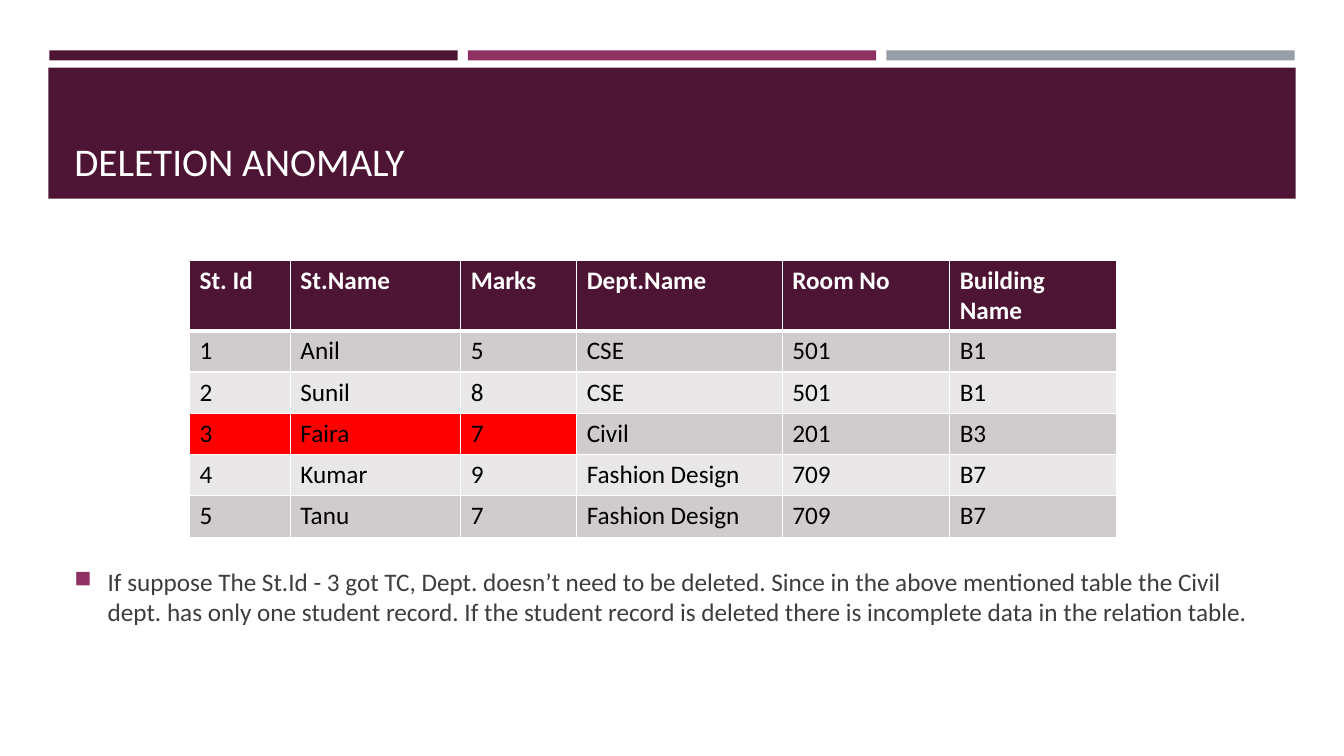
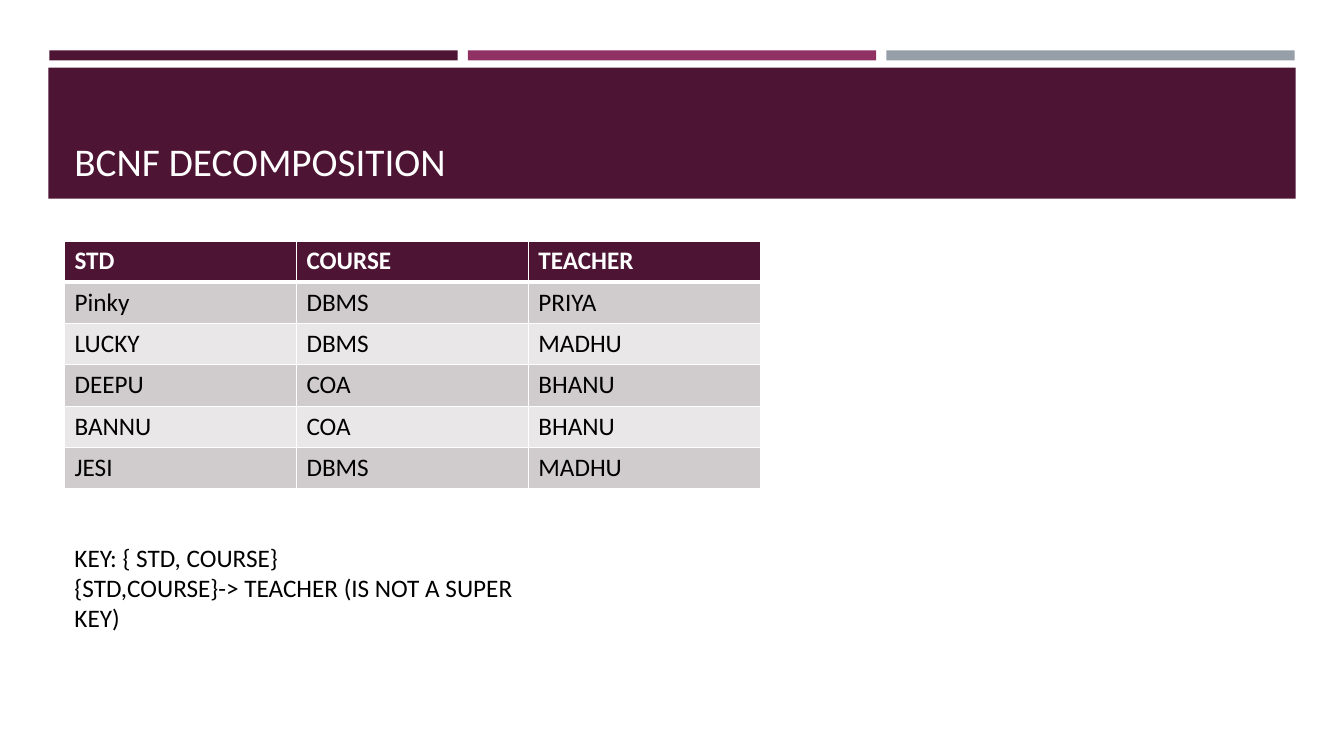
from lxml import etree
from pptx import Presentation
from pptx import util as u
from pptx.dml.color import RGBColor
from pptx.enum import shapes, text
from pptx.oxml import ns

PLUM = RGBColor(0x4D, 0x14, 0x34)
MAGENTA = RGBColor(0x90, 0x31, 0x63)
GREY = RGBColor(0x96, 0x9F, 0xA7)
ROW_DARK = RGBColor(0xD0, 0xCC, 0xCE)
ROW_LIGHT = RGBColor(0xE9, 0xE7, 0xE8)
RED = RGBColor(0xFF, 0x00, 0x00)
BODY = RGBColor(0x3D, 0x3D, 0x3D)
WHITE = RGBColor(0xFF, 0xFF, 0xFF)
BLACK = RGBColor(0x00, 0x00, 0x00)


def add_xml(parent, tag, **attributes):
    return etree.SubElement(parent, ns.qn(tag), attributes)


class Deck:
    """Holds the shared style and the slide being built."""

    font_name = "Calibri"
    text_size = 18
    title_size = 28
    row_height = 0.41

    def __init__(self):
        self.presentation = Presentation()
        self.presentation.slide_width = u.Inches(13.33)
        self.presentation.slide_height = u.Inches(7.5)
        self.slide = None

    def add_slide(self, title):
        layout = self.presentation.slide_layouts[6]
        self.slide = self.presentation.slides.add_slide(layout)
        # Three accent strips above the title band
        for index, color in enumerate((PLUM, MAGENTA, GREY)):
            self.band(0.49 + index * 4.15, 0.5, 4.05, 0.1, color)
        self.band(0.48, 0.67, 12.37, 1.3, PLUM)
        self.text_box((0.64, 0.77, 12.06, 1.11), [title], WHITE,
                      self.title_size, text.MSO_ANCHOR.BOTTOM)

    def band(self, left, top, width, height, color):
        shape = self.slide.shapes.add_shape(
            shapes.MSO_SHAPE.RECTANGLE,
            *map(u.Inches, (left, top, width, height)))
        shape.shadow.inherit = False
        shape.fill.solid()
        shape.fill.fore_color.rgb = color
        shape.line.fill.background()

    def format_font(self, paragraph, color, size=text_size, bold=False):
        values = {"name": self.font_name, "size": u.Pt(size), "bold": bold}
        font = paragraph.font
        for name, value in values.items():
            setattr(font, name, value)
        font.color.rgb = color

    def text_box(self, box, lines, color, size=text_size,
                 anchor=text.MSO_ANCHOR.TOP, bullet=False):
        shape = self.slide.shapes.add_textbox(*map(u.Inches, box))
        frame = shape.text_frame
        frame.word_wrap = True
        frame.vertical_anchor = anchor
        frame.text = "\n".join(lines)
        for paragraph in frame.paragraphs:
            if bullet:
                self.bullet(paragraph)
            self.format_font(paragraph, color, size)

    def bullet(self, paragraph):
        properties = paragraph._p.get_or_add_pPr()
        indent = u.Inches(0.33)
        properties.set("marL", str(indent))
        properties.set("indent", str(-indent))
        color = add_xml(properties, "a:buClr")
        add_xml(color, "a:srgbClr", val=str(MAGENTA))
        add_xml(properties, "a:buSzPct", val="92000")
        add_xml(properties, "a:buChar", char="■")

    def cell_borders(self, cell, bottom_width):
        properties = cell._tc.get_or_add_tcPr()
        widths = {"a:lnL": 1, "a:lnR": 1, "a:lnT": 1, "a:lnB": bottom_width}
        for tag, width in widths.items():
            line = add_xml(properties, tag, w=str(u.Pt(width)))
            fill = add_xml(line, "a:solidFill")
            add_xml(fill, "a:srgbClr", val=str(WHITE))

    def table(self, left, top, widths, rows, marked=()):
        """Draw a banded table; marked lists (row, column) cells in red."""
        height = self.row_height * len(rows)
        frame = self.slide.shapes.add_table(
            len(rows), len(widths),
            *map(u.Inches, (left, top, sum(widths), height)))
        table = frame.table
        table.horz_banding = False
        for column, width in zip(table.columns, widths):
            column.width = u.Inches(width)
        for row_index, values in enumerate(rows):
            header = row_index == 0
            table.rows[row_index].height = u.Inches(self.row_height)
            row_fill = ROW_DARK if row_index % 2 else ROW_LIGHT
            if header:
                row_fill = PLUM
            for column_index, value in enumerate(values):
                cell = table.cell(row_index, column_index)
                cell.text = value
                # The top edge of the first body row meets the header rule
                self.cell_borders(cell, 3 if header else 1)
                cell.fill.solid()
                is_marked = (row_index, column_index) in marked
                cell.fill.fore_color.rgb = RED if is_marked else row_fill
                self.format_font(cell.text_frame.paragraphs[0],
                                 WHITE if header else BLACK, bold=header)


def main():
    deck = Deck()

    # Deletion anomaly
    deck.add_slide("DELETION ANOMALY")
    deck.text_box(
        (0.64, 5.56, 12.06, 0.72),
        ["If suppose The St.Id - 3 got TC, Dept. doesn’t need to be deleted. "
         "Since in the above mentioned table the Civil dept. has only one "
         "student record. If the student record is deleted there is "
         "incomplete data in the relation table."],
        BODY, anchor=text.MSO_ANCHOR.MIDDLE, bullet=True)
    students = [
        ("St. Id", "St.Name", "Marks", "Dept.Name", "Room No",
         "Building Name"),
        ("1", "Anil", "5", "CSE", "501", "B1"),
        ("2", "Sunil", "8", "CSE", "501", "B1"),
        ("3", "Faira", "7", "Civil", "201", "B3"),
        ("4", "Kumar", "9", "Fashion Design", "709", "B7"),
        ("5", "Tanu", "7", "Fashion Design", "709", "B7"),
    ]
    deck.table(1.88, 2.58, (1, 1.69, 1.15, 2.04, 1.66, 1.66), students,
               marked=[(3, column) for column in range(3)])

    # BCNF decomposition
    deck.add_slide("BCNF DECOMPOSITION")
    courses = [
        ("STD", "COURSE", "TEACHER"),
        ("Pinky", "DBMS", "PRIYA"),
        ("LUCKY", "DBMS", "MADHU"),
        ("DEEPU", "COA", "BHANU"),
        ("BANNU", "COA", "BHANU"),
        ("JESI", "DBMS", "MADHU"),
    ]
    deck.table(0.64, 2.39, (2.3,) * 3, courses)
    deck.text_box((0.64, 5.33, 4.62, 1.01),
                  ["KEY: { STD, COURSE}",
                   "{STD,COURSE}-> TEACHER (IS NOT A SUPER KEY)"], BLACK)

    deck.presentation.save("out.pptx")


if __name__ == "__main__":
    main()
